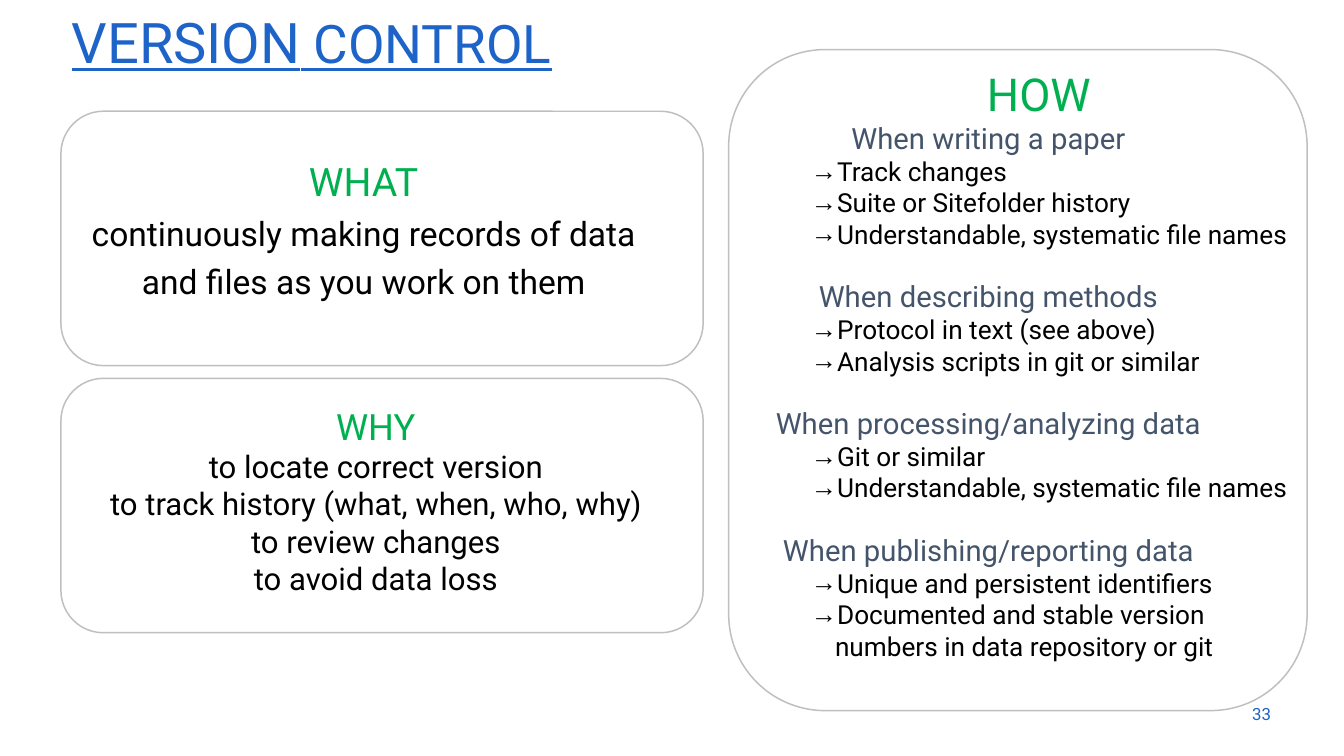
from dataclasses import dataclass

from lxml import etree
from pptx import Presentation
from pptx.dml.color import RGBColor
from pptx.enum import shapes, text
from pptx.oxml.ns import qn
from pptx.util import Inches, Pt


@dataclass(frozen=True)
class Theme:
    font: str = "Roboto"
    blue: str = "1E64C8"
    green: str = "00B050"
    slate: str = "44546A"
    black: str = "000000"
    border: str = "BFBFBF"
    title: tuple = (56.9, 54)
    what: tuple = (39.8, 34.1)
    why: tuple = (36.8, 31.6)
    how: tuple = (46.1, 29.7, 26.6)
    number: float = 17.1
    group_gap: float = 29.3


THEME = Theme()

REASONS = [
    "to locate correct version",
    "to track history (what, when, who, why)",
    "to review changes",
    "to avoid data loss",
]
PRACTICES = [
    ("When writing a paper", [
        "Track changes",
        "Suite or Sitefolder history",
        "Understandable, systematic file names"]),
    ("When describing methods", [
        "Protocol in text (see above)",
        "Analysis scripts in git or similar"]),
    ("When processing/analyzing data", [
        "Git or similar",
        "Understandable, systematic file names"]),
    ("When publishing/reporting data", [
        "Unique and persistent identifiers",
        "Documented and stable version numbers in data repository or git"]),
]


def place(sp, left, top, width, height):
    sp.left, sp.top, sp.width, sp.height = map(Inches, (left, top, width, height))


def set_frame(sp, side, edge, anchor=text.MSO_ANCHOR.TOP):
    tf = sp.text_frame
    tf.word_wrap = True
    tf.auto_size = text.MSO_AUTO_SIZE.NONE
    tf.vertical_anchor = anchor
    tf.margin_left = tf.margin_right = Inches(side)
    tf.margin_top = tf.margin_bottom = Inches(edge)
    return tf


def add_run(p, words, size, color, underline=None):
    r = p.add_run()
    r.text = words
    r.font.name = THEME.font
    r.font.size = Pt(size)
    r.font.bold = False
    r.font.underline = underline
    r.font.color.rgb = RGBColor.from_string(color)


def add_line(tf, words, size, color, indent=0.09, spacing=1, before=0, bullet=None):
    p = tf.add_paragraph() if tf.paragraphs[0].runs else tf.paragraphs[0]
    pPr = p._p.get_or_add_pPr()
    pPr.set("marL", str(Inches(indent)))
    pPr.set("indent", str(Inches(-0.34 if bullet else 0)))
    if bullet:
        p.level = 4
        etree.SubElement(pPr, qn("a:buChar"), char=bullet)
    else:
        etree.SubElement(pPr, qn("a:buNone"))
    p.alignment = text.PP_ALIGN.LEFT if bullet else text.PP_ALIGN.CENTER
    p.line_spacing = spacing
    p.space_before = Pt(before)
    p.space_after = Pt(0)
    add_run(p, words, size, color)


def add_border(s, box):
    sp = s.shapes.add_shape(shapes.MSO_SHAPE.ROUNDED_RECTANGLE, *map(Inches, box))
    sp.shadow.inherit = False
    sp.fill.background()
    sp.line.color.rgb = RGBColor.from_string(THEME.border)
    sp.line.width = Pt(1.5)


def add_title(s, box):
    sp = s.shapes.title
    place(sp, *box)
    p = set_frame(sp, 0.1, 0.07).paragraphs[0]
    p.alignment = text.PP_ALIGN.LEFT
    p.line_spacing = 0.9
    for words, size in zip(("VERSION", " CONTROL"), THEME.title):
        add_run(p, words, size, THEME.blue, underline=True)


def add_what(s, sp, box):
    left, top, width, height = box
    place(sp, left - 0.06, top + 0.45, 8.57, 4.03)
    tf = set_frame(sp, 0.14, 0.07)
    heading, body = THEME.what
    add_line(tf, "WHAT", heading, THEME.green, spacing=1.2)
    add_line(tf, "continuously making records of data and files as you work on them",
             body, THEME.black, spacing=1.2)
    add_border(s, box)


def add_why(s, sp, box):
    left, top, width, height = box
    place(sp, left + 0.11, top + 0.29, 8.57, 3.04)
    tf = set_frame(sp, 0.14, 0.07)
    heading, body = THEME.why
    add_line(tf, "WHY", heading, THEME.green)
    for reason in REASONS:
        add_line(tf, reason, body, THEME.black)
    add_border(s, box)


def add_how(s, sp, box):
    left, top, width, height = box
    place(sp, left - 0.92, top + 0.16, 9.08, height)
    tf = set_frame(sp, 0.14, 0.07)
    heading, group, item = THEME.how
    add_line(tf, "HOW", heading, THEME.green, indent=1.51)
    for i, (occasion, steps) in enumerate(PRACTICES):
        add_line(tf, occasion, group, THEME.slate,
                 before=THEME.group_gap if i else 0)
        for step in steps:
            add_line(tf, step, item, THEME.black, indent=2.28, bullet="→")
    add_border(s, box)


def add_number(s, box):
    sp = s.shapes.add_textbox(*map(Inches, box))
    p = set_frame(sp, 0.13, 0.05, text.MSO_ANCHOR.MIDDLE).paragraphs[0]
    p.alignment = text.PP_ALIGN.RIGHT
    add_run(p, "33", THEME.number, THEME.blue)


def main():
    prs = Presentation()
    prs.slide_width, prs.slide_height = Inches(18.96), Inches(10.67)
    s = prs.slides.add_slide(prs.slide_layouts.get_by_name("Comparison"))
    title, what, why, how, spare = s.placeholders
    spare.element.getparent().remove(spare.element)

    left, top, width, height, gap = 0.86, 1.57, 9.06, 3.59, 0.18
    add_title(s, (0.91, 0.15, 17.18, 0.94))
    add_what(s, what, (left, top, width, height))
    add_why(s, why, (left, top + height + gap, width, height))
    add_how(s, how, (10.28, 0.7, 8.16, 9.33))
    add_number(s, (17.05, 9.79, 1.01, 0.57))
    prs.save("out.pptx")


if __name__ == "__main__":
    main()
